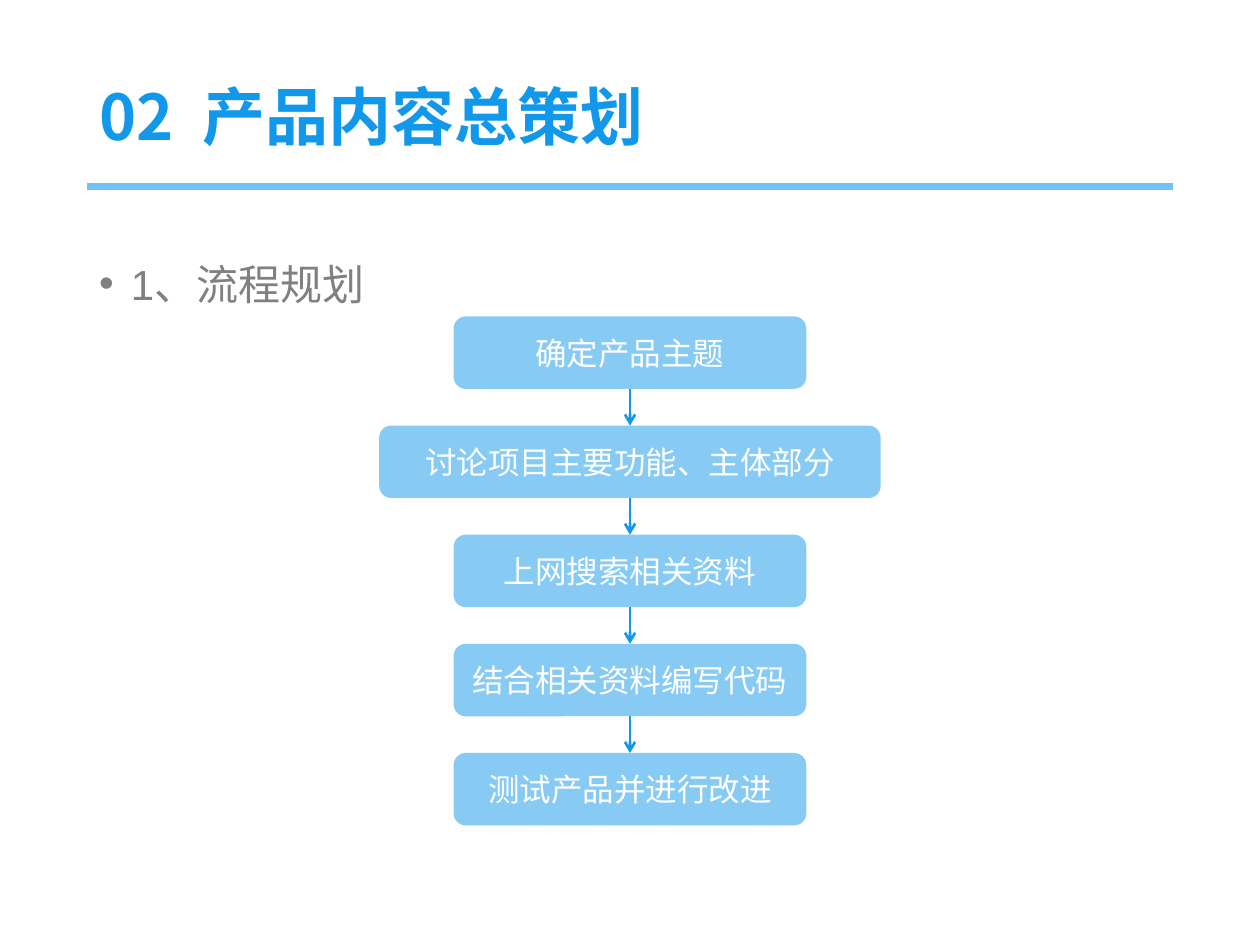
"""Build a slide showing the five-step planning process of a product."""
from lxml import etree
from pptx import Presentation
from pptx.dml.color import RGBColor
from pptx.enum.shapes import MSO_CONNECTOR, MSO_SHAPE
from pptx.enum.text import MSO_ANCHOR, MSO_AUTO_SIZE, PP_ALIGN
from pptx.oxml.ns import qn
from pptx.util import Cm, Pt

STRAIGHT = MSO_CONNECTOR.STRAIGHT
ROUNDED = MSO_SHAPE.ROUNDED_RECTANGLE
MIDDLE, TOP = MSO_ANCHOR.MIDDLE, MSO_ANCHOR.TOP
LEFT, CENTER = PP_ALIGN.LEFT, PP_ALIGN.CENTER
NO_FIT = MSO_AUTO_SIZE.NONE

COLORS = {"blue": "1198EB", "rule": "6FC2F5", "gray": "808080", "white": "FFFFFF"}
EAST_ASIAN = "Noto Sans CJK JP"


def write(shape, pieces, color, font_format, paragraph_format, anchor):
    frame = shape.text_frame
    for name, value in {"word_wrap": True, "auto_size": NO_FIT, "vertical_anchor": anchor}.items():
        setattr(frame, name, value)
    paragraph = frame.paragraphs[0]
    for name, value in paragraph_format.items():
        setattr(paragraph, name, value)
    for piece in pieces:
        run = paragraph.add_run()
        run.text = piece
        for name, value in font_format.items():
            setattr(run.font, name, value)
        run.font.color.rgb = RGBColor.from_string(COLORS[color])
        etree.SubElement(run.font._element, qn("a:ea"), typeface=EAST_ASIAN)
    return paragraph


def draw_line(start, end, color, width):
    line = slide.shapes.add_connector(STRAIGHT, *start, *end)
    line.line.color.rgb = RGBColor.from_string(COLORS[color])
    line.line.width = Pt(width)
    etree.SubElement(line._element.spPr, qn("a:effectLst"))
    return line


prs = Presentation()
prs.slide_width, prs.slide_height = Cm(25.4), Cm(19.05)
slide = prs.slides.add_slide(prs.slide_layouts[5])
margin = Cm(1.75)
content_width = prs.slide_width - 2 * margin
center = prs.slide_width // 2

draw_line((margin, Cm(3.76)), (margin + content_width, Cm(3.76)), "rule", 3.5)

title = slide.shapes.title
for name, value in {"left": margin, "top": Cm(1.02), "width": content_width, "height": Cm(2.82)}.items():
    setattr(title, name, value)
heading = write(title, ["02", " ", "产品内容总策划"], "blue",
                {"size": Pt(36), "bold": True, "name": EAST_ASIAN},
                {"alignment": LEFT, "line_spacing": 0.9}, MIDDLE)
heading.runs[1].font._element.set("spc", "800")

section = slide.shapes.add_textbox(margin, Cm(4.57), content_width, Cm(12.57))
section_heading = write(section, ["1、流程规划"], "gray", {"size": Pt(24), "name": "Arial"},
                        {"line_spacing": 1.5, "space_before": Pt(10)}, TOP)
bullet = section_heading._p.get_or_add_pPr()
bullet.set("marL", str(Cm(0.64)))
bullet.set("indent", str(-Cm(0.64)))
etree.SubElement(bullet, qn("a:buFont"), typeface="Arial")
etree.SubElement(bullet, qn("a:buChar"), char="•")

STEPS = [
    ("确定产品主题", 7.11),
    ("讨论项目主要功能、主体部分", 10.11),
    ("上网搜索相关资料", 7.11),
    ("结合相关资料编写代码", 7.11),
    ("测试产品并进行改进", 7.11),
]
first_top, step_height, step_pitch = Cm(6.38), Cm(1.46), Cm(2.2)
previous = None
for index, (label, width) in enumerate(STEPS):
    top = first_top + index * step_pitch
    step = slide.shapes.add_shape(ROUNDED, center - Cm(width) // 2, top, Cm(width), step_height)
    step.shadow.inherit = False
    step.fill.solid()
    step.fill.fore_color.rgb = RGBColor.from_string(COLORS["blue"])
    fill_color = step._element.spPr.find(qn("a:solidFill"))[0]
    etree.SubElement(fill_color, qn("a:alpha"), val="50000")
    step.line.fill.background()
    write(step, [label], "white", {"size": Pt(18), "name": "Arial"}, {"alignment": CENTER}, MIDDLE)
    if previous is not None:
        arrow = draw_line((center, top - step_pitch + step_height), (center, top), "blue", 1.5)
        arrow.begin_connect(previous, 2)
        arrow.end_connect(step, 0)
        etree.SubElement(arrow.line._get_or_add_ln(), qn("a:tailEnd"), type="arrow")
    previous = step

prs.save("out.pptx")
